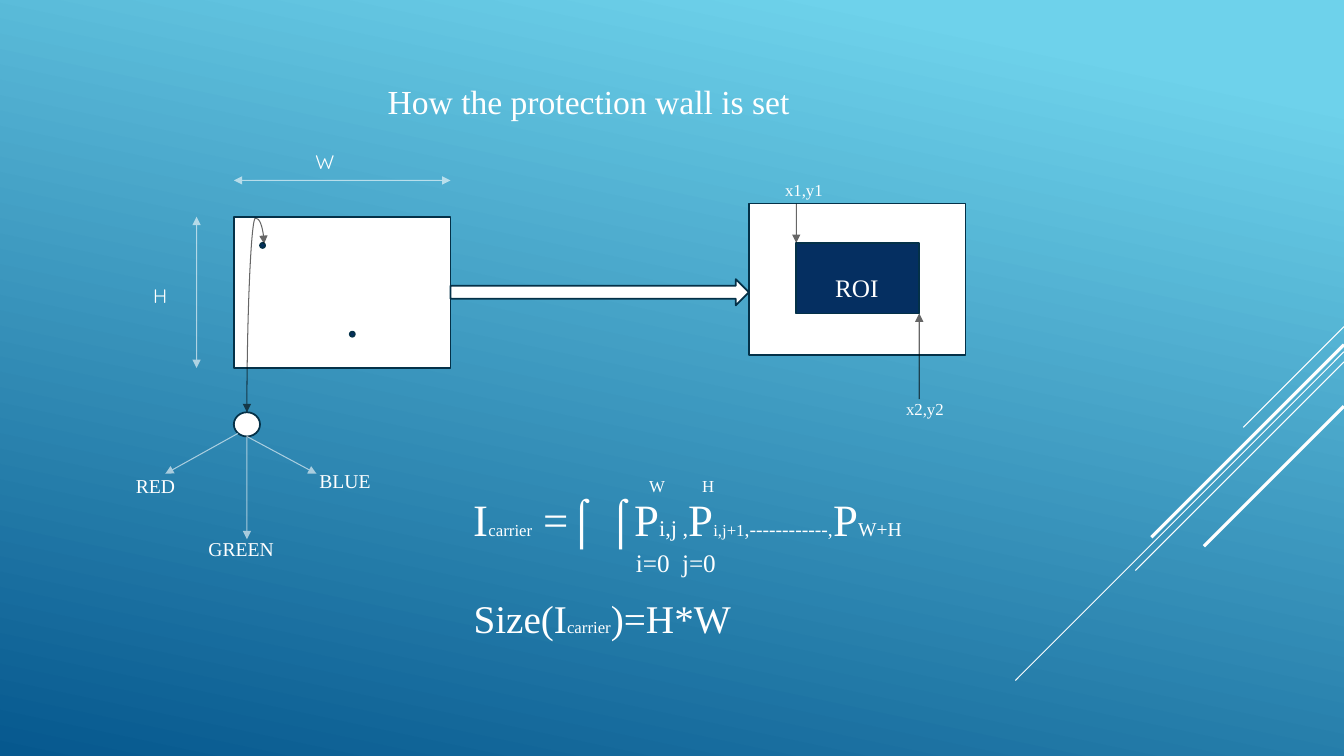
from dataclasses import dataclass

from lxml import etree
from pptx import Presentation
from pptx import util as u
from pptx.dml.color import RGBColor
from pptx.enum import shapes, text
from pptx.oxml.ns import qn


@dataclass(frozen=True)
class Theme:
    white: str = "FFFFFF"
    black: str = "000000"
    navy: str = "052F61"
    outline: str = "043148"
    sky: str = "6ED2EB"
    deep: str = "06588E"
    serif: str = "Times New Roman"
    sans: str = "Quicksand"
    title: int = 24
    label: int = 14
    small: int = 12
    medium: int = 18
    thin: float = 0.75
    border: float = 1.25
    bold: float = 2.25


THEME = Theme()
SHAPE = shapes.MSO_SHAPE
TITLE = "How the protection wall is set"

# Positions are points: left, top, width, height
IMAGE = (167.04, 154.8, 154.8, 108)
CARRIER = (534.96, 145.44, 154.8, 108)
ROI = (568.8, 173.52, 87.84, 50.4)
PIXEL = (167.04, 294.48, 18.72, 17.28)
DOTS = [(185.76, 173.52), (249.84, 236.88)]
DOT_SIZE = 3.6

# Start x, start y, drop to the lower left end, width; all run at 45 degrees
STRIPES = [
    (233.28, 72, THEME.thin),
    (251.28, 234.72, THEME.thin),
    (258.48, 149.04, THEME.thin),
    (246.24, 137.52, THEME.bold),
    (290.16, 100.08, THEME.bold),
]

# Text, box, size, font
LABELS = [
    ("W", (218.16, 103.68, 35.28, 24.48), THEME.label, THEME.sans),
    ("H", (102.24, 199.44, 15.84, 24.48), THEME.label, THEME.sans),
    ("RED", (90, 334.8, 47.52, 24.48), THEME.label, THEME.serif),
    ("GREEN", (141.84, 380.16, 69.12, 24.48), THEME.label, THEME.serif),
    ("BLUE", (221.04, 331.2, 65.52, 24.48), THEME.label, THEME.serif),
    ("x1,y1", (553.68, 124.56, 69.12, 21.6), THEME.small, THEME.serif),
    ("x2,y2", (640.08, 281.52, 69.12, 21.6), THEME.small, THEME.serif),
]

# Text, box, size, tab stop
LIMITS = [
    ("W\tH", (456.48, 336.24, 68.4, 21.6), THEME.small, 38),
    ("i=0\tj=0", (447.12, 387.36, 87.84, 29.52), THEME.medium, 33),
]

FORMULAS = [
    ((331.2, 347.76, 424.8, 46.08),
     [("I", 32), ("carrier", 12), (" =⌠ ⌠P", 32), ("i,j ,", 16), ("P", 32),
      ("i,j+1", 12), (",------------,", 14), ("P", 32), ("W+H", 14)]),
    ((331.2, 421.2, 387.36, 41.04),
     [("Size(I", 28), ("carrier", 12), (")=H*W", 28)]),
]


def rgb(value):
    return RGBColor.from_string(value)


def add_block(slide, kind, box, fill):
    shape = slide.shapes.add_shape(kind, *map(u.Pt, box))
    shape.shadow.inherit = False
    shape.fill.solid()
    shape.fill.fore_color.rgb = rgb(fill)
    shape.line.color.rgb = rgb(THEME.outline)
    shape.line.width = u.Pt(THEME.border)
    return shape


def add_line(slide, start, end, color=THEME.white, width=THEME.thin,
             ends=(), alpha=None, kind=shapes.MSO_CONNECTOR.STRAIGHT):
    """Draw a connector; ends holds headEnd and/or tailEnd, alpha a percentage."""
    line = slide.shapes.add_connector(kind, *map(u.Pt, (*start, *end)))
    line.line.color.rgb = rgb(color)
    line.line.width = u.Pt(width)
    properties = line._element.spPr
    outline = properties.find(qn("a:ln"))
    if alpha:
        fill_color = outline.find(".//" + qn("a:srgbClr"))
        etree.SubElement(fill_color, qn("a:alpha"), val=str(alpha * 1000))
    for end_name in ends:
        etree.SubElement(outline, qn("a:" + end_name), type="triangle")
    etree.SubElement(properties, qn("a:effectLst"))
    return line


def add_arrow(slide, start, end, color=THEME.white, double=False, **options):
    ends = ("headEnd", "tailEnd") if double else ("tailEnd",)
    return add_line(slide, start, end, color, ends=ends, alpha=60, **options)


def style(target, size, font=THEME.serif):
    target.font.size = u.Pt(size)
    target.font.name = font
    target.font.color.rgb = rgb(THEME.white)


def add_label(slide, words, box, size, font=THEME.serif, align=None, tab=None):
    frame = slide.shapes.add_textbox(*map(u.Pt, box)).text_frame
    frame.word_wrap = True
    paragraph = frame.paragraphs[0]
    paragraph.text = words
    paragraph.alignment = align
    if tab:
        tabs = etree.SubElement(paragraph._p.get_or_add_pPr(), qn("a:tabLst"))
        etree.SubElement(tabs, qn("a:tab"), pos=str(u.Pt(tab)), algn="l")
    style(paragraph, size, font)


def add_formula(slide, box, parts):
    frame = slide.shapes.add_textbox(*map(u.Pt, box)).text_frame
    frame.word_wrap = True
    for words, size in parts:
        run = frame.paragraphs[0].add_run()
        run.text = words
        style(run, size)


def set_background(slide):
    fill = slide.background.fill
    fill.gradient()
    fill.gradient_angle = 258
    stops = [(0.1, THEME.sky), (1, THEME.deep)]
    for stop, (position, color) in zip(fill.gradient_stops, stops):
        stop.position = position
        stop.color.rgb = rgb(color)


def set_title(slide):
    title = slide.shapes.title
    title.left, title.top, title.width, title.height = map(
        u.Pt, (218.16, 54, 404.64, 36))
    title.text_frame.text = TITLE
    title.text_frame.auto_size = text.MSO_AUTO_SIZE.NONE
    paragraph = title.text_frame.paragraphs[0]
    paragraph.alignment = text.PP_ALIGN.CENTER
    style(paragraph, THEME.title)


def add_pixel_curve(slide):
    """Link the first dot to the enlarged pixel with an overshooting curve."""
    curve = add_arrow(slide, (242.64, 240.48), (122.4, 228.24), THEME.black,
                      double=True, kind=shapes.MSO_CONNECTOR.CURVE)
    properties = curve._element.spPr
    properties.find(qn("a:xfrm")).set("rot", str(270 * 60000))
    adjustments = properties.find(qn("a:prstGeom")).find(qn("a:avLst"))
    etree.SubElement(adjustments, qn("a:gd"), name="adj1", fmla="val -15400")


def add_diagram(slide):
    left, top, width, height = IMAGE
    add_block(slide, SHAPE.RECTANGLE, IMAGE, THEME.white)
    add_arrow(slide, (140.4, top), (140.4, top + height), double=True)
    add_arrow(slide, (left, 128.88), (left + width, 128.88), double=True)
    for dot in DOTS:
        add_block(slide, SHAPE.OVAL, (*dot, DOT_SIZE, DOT_SIZE), THEME.navy)
    add_block(slide, SHAPE.OVAL, PIXEL, THEME.white)
    add_pixel_curve(slide)

    pixel_bottom = (PIXEL[0] + PIXEL[2] / 2, PIXEL[1] + PIXEL[3])
    add_arrow(slide, (169.92, 309.6), (118.08, 338.4))
    for end in [(pixel_bottom[0], 385.2), (226.08, 338.4)]:
        add_arrow(slide, pixel_bottom, end)

    right = left + width
    add_block(slide, SHAPE.RIGHT_ARROW,
              (right, 199.44, CARRIER[0] - right, 18.72), THEME.white)
    add_block(slide, SHAPE.RECTANGLE, CARRIER, THEME.white)
    add_block(slide, SHAPE.RECTANGLE, ROI, THEME.navy)
    roi_right, roi_bottom = ROI[0] + ROI[2], ROI[1] + ROI[3]
    add_arrow(slide, (ROI[0], CARRIER[1]), ROI[:2], THEME.black)
    add_arrow(slide, (roi_right, 285.12), (roi_right, roi_bottom), THEME.black)


def main():
    presentation = Presentation()
    presentation.slide_width, presentation.slide_height = u.Pt(960), u.Pt(540)
    slide = presentation.slides.add_slide(presentation.slide_layouts[5])
    set_background(slide)
    set_title(slide)
    for top, drop, width in STRIPES:
        add_line(slide, (960, top), (960 - drop, top + drop), width=width)
    add_diagram(slide)
    for label in LABELS:
        add_label(slide, *label)
    add_label(slide, "ROI", (583.92, 190.8, 56.16, 28.8), THEME.medium,
              align=text.PP_ALIGN.CENTER)
    for words, box, size, tab in LIMITS:
        add_label(slide, words, box, size, tab=tab)
    for formula in FORMULAS:
        add_formula(slide, *formula)
    presentation.save("out.pptx")


if __name__ == "__main__":
    main()
